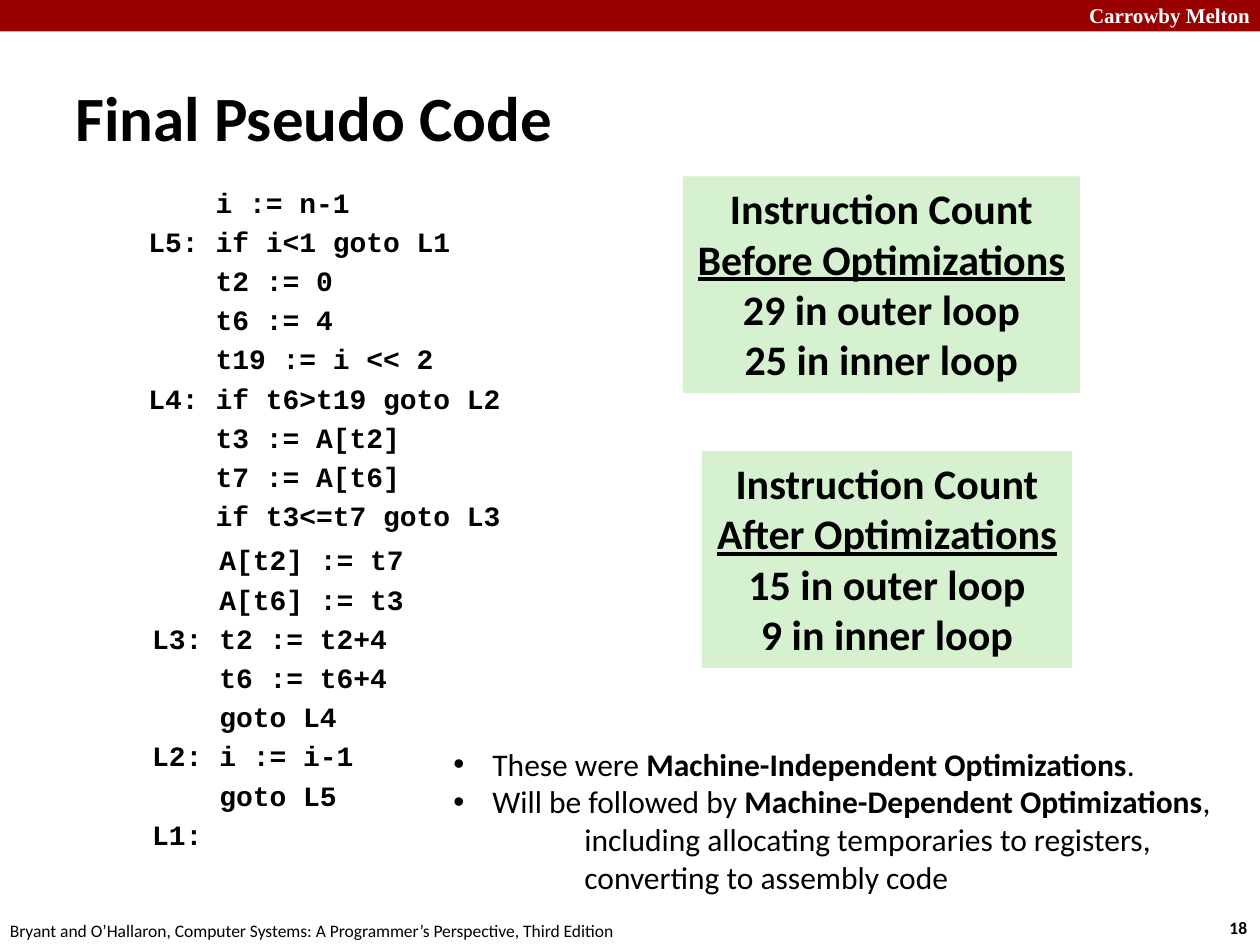
from pptx import Presentation, util as u
from pptx.dml.color import RGBColor
from pptx.enum import shapes, text
from lxml import etree

deck = Presentation()
deck.slide_width, deck.slide_height = u.Inches(10), u.Inches(7.5)
column, row = deck.slide_width / 100, deck.slide_height / 75
page = deck.slides.add_slide(deck.slide_layouts[6])
NS = "{http://schemas.openxmlformats.org/drawingml/2006/main}"


def block(left, top, width, height, fill=None, **frame_format):
    item = page.shapes.add_shape(
        shapes.MSO_SHAPE.RECTANGLE,
        int(left * column), int(top * row), int(width * column), int(height * row),
    ) if fill else page.shapes.add_textbox(
        int(left * column), int(top * row), int(width * column), int(height * row))
    if fill:
        item.shadow.inherit = False
        item.fill.solid()
        item.fill.fore_color.rgb = RGBColor.from_string(fill)
        item.line.fill.background()
    defaults = {"word_wrap": True, "vertical_anchor": text.MSO_ANCHOR.TOP}
    for name, value in (defaults | frame_format).items():
        setattr(item.text_frame, name, value)
    return item.text_frame


def write(frame, lines, size, face="Calibri", color="000000", align=text.PP_ALIGN.LEFT,
          before=0, margin=0, hang=0, bullet=None):
    for pieces in lines:
        used = frame.paragraphs[-1].runs
        paragraph = frame.add_paragraph() if used else frame.paragraphs[0]
        for name, value in {"alignment": align, "space_before": u.Pt(before)}.items():
            setattr(paragraph, name, value)
        props = paragraph._p.get_or_add_pPr()
        props.set("marL", str(int(margin * column)))
        props.set("indent", str(int(-hang * column)))
        if bullet:
            etree.SubElement(props, NS + "buFont", typeface="Arial")
            etree.SubElement(props, NS + "buChar", char=bullet)
        for words, style in pieces:
            if words == "\n":
                paragraph.add_line_break()
                continue
            run = paragraph.add_run()
            run.text = words
            for name, value in ({"size": u.Pt(size), "name": face, "bold": False} | style).items():
                setattr(run.font, name, value)
            run.font.color.rgb = RGBColor.from_string(color)


BOLD, PLAIN = {"bold": True}, {}
UNDERLINED = {"bold": True, "underline": True}

block(0, 0, 100, 2.5, "990000")
school = block(84, -0.3, 16.2, 3)
write(school, [[("Carrowby Melton", BOLD)]], 12, "Times New Roman", "FFFFFF",
      text.PP_ALIGN.RIGHT)
page_number = block(96.6, 72.3, 3.7, 2.7, word_wrap=False)
write(page_number, [[("18", BOLD)]], 10)
citation = block(-0.2, 72.5, 50.8, 2.7, word_wrap=False)
write(citation, [[("Bryant and O’Hallaron, Computer Systems: "
                   "A Programmer’s Perspective, Third Edition", PLAIN)]], 10)

title = block(5, 3, 90, 12.5, vertical_anchor=text.MSO_ANCHOR.MIDDLE)
write(title, [[("Final Pseudo Code", BOLD)]], 36)

listings = [
    (10.8, 14.2, 44.2, 29.2, [
        ("", "i := n-1"), ("L5:", "if i<1 goto L1"), ("", "t2 := 0"),
        ("", "t6 := 4"), ("", "t19 := i << 2"), ("L4:", "if t6>t19 goto L2"),
        ("", "t3 := A[t2]"), ("", "t7 := A[t6]"), ("", "if t3<=t7 goto L3")]),
    (11.1, 42.6, 34.2, 27.8, [
        ("", "A[t2] := t7"), ("", "A[t6] := t3"), ("L3:", "t2 := t2+4"),
        ("", "t6 := t6+4"), ("", "goto L4"), ("L2:", "i := i-1"),
        ("", "goto L5"), ("L1:", "")]),
]
for left, top, width, height, code in listings:
    listing = block(left, top, width, height)
    for label, statement in code:
        line = f"{label}\t{statement}" if label and statement else label or statement
        write(listing, [[(line, BOLD)]], 16, "Courier New", before=3.2,
              margin=5.33, hang=5.33 if label else 0)

counts = [
    (54.2, 14, 31.5, "Before", 29, 25),
    (55.7, 35.8, 29.4, "After", 15, 9),
]
for left, top, width, stage, outer, inner in counts:
    count = block(left, top, width, 17.2, "D5F1CF", word_wrap=False)
    write(count, [
        [("Instruction Count", BOLD), ("\n", PLAIN), (f"{stage} Optimizations", UNDERLINED)],
        [(f"{outer} in outer loop", BOLD)],
        [(f"{inner} in inner loop", BOLD)],
    ], 24, align=text.PP_ALIGN.CENTER)

remarks = block(35, 58.6, 62.7, 13.1, word_wrap=False)
write(remarks, [
    [("These were ", PLAIN), ("Machine-Independent Optimizations", BOLD), (".", PLAIN)],
    [("Will be followed by ", PLAIN), ("Machine-Dependent Optimizations", BOLD), (",", PLAIN)],
], 18, margin=3.1, hang=3.1, bullet="•")
write(remarks, [
    [("including allocating temporaries to registers,", PLAIN)],
    [("converting to assembly code", PLAIN)],
], 18, margin=10.4)

deck.save("out.pptx")
